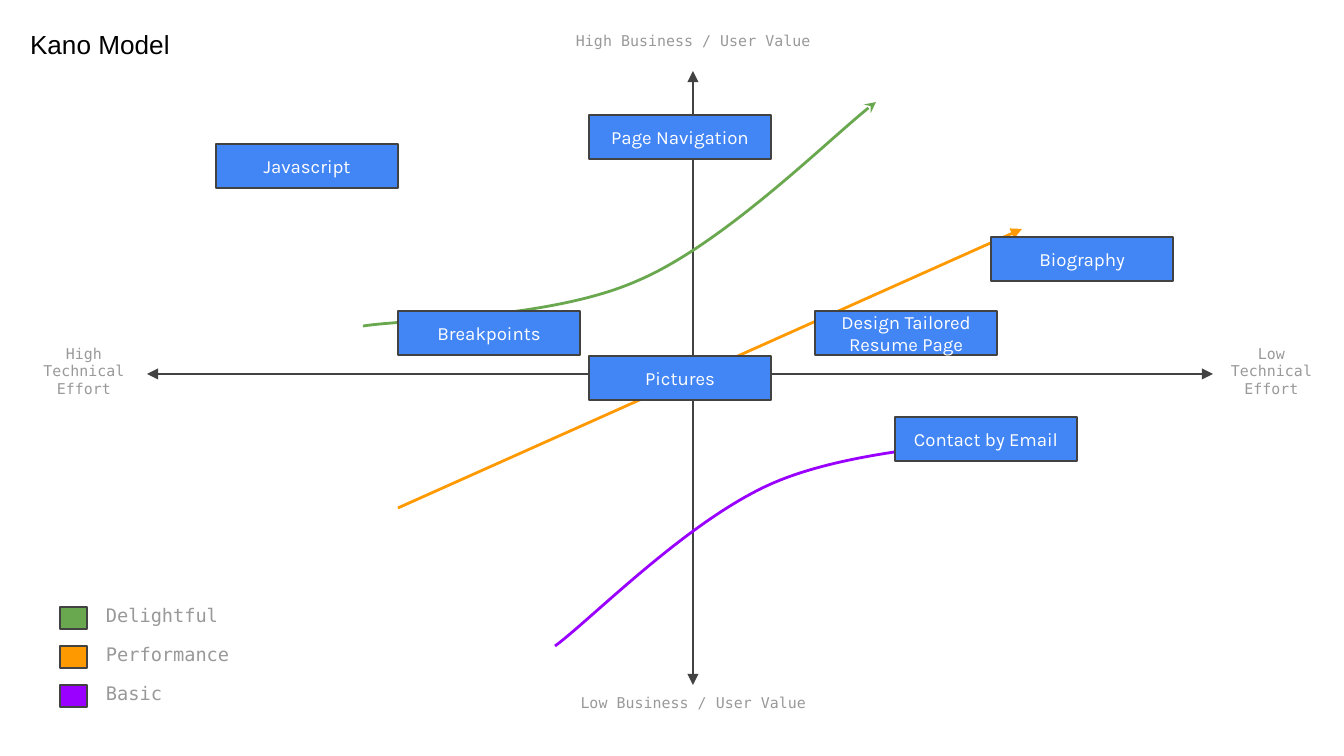
"""Build a Kano model slide: effort and value axes, trend curves and feature boxes."""
from lxml import etree
from pptx import Presentation
from pptx.dml.color import RGBColor
from pptx.enum.shapes import MSO_CONNECTOR, MSO_SHAPE
from pptx.enum.text import MSO_ANCHOR, PP_ALIGN
from pptx.oxml.ns import qn
from pptx.util import Emu, Pt

PX = 914400 / 134.4
RECT = MSO_SHAPE.RECTANGLE
STRAIGHT = MSO_CONNECTOR.STRAIGHT
TOP, MIDDLE = MSO_ANCHOR.TOP, MSO_ANCHOR.MIDDLE
LEFT, CENTER = PP_ALIGN.LEFT, PP_ALIGN.CENTER
MONO = "DejaVu Sans Mono"
COLORS = {
    "ink": "424242",
    "label": "999999",
    "title": "000000",
    "box": "4285F4",
    "box_text": "FFFFFF",
    "delightful": "6AA84F",
    "performance": "FF9900",
    "basic": "9900FF",
}
AXES = [((693, 71), (693, 685)), ((1213, 374), (147, 374))]
CURVES = [
    ("delightful", [(363, 326), (409, 319), (551, 319), (637, 281),
                    (722, 245), (836, 132), (876, 102)]),
    ("basic", [(555, 646), (593, 618), (692, 516), (778, 481),
               (866, 445), (1025, 441), (1075, 434)]),
]
LEGEND = ["delightful", "performance", "basic"]
AXIS_LABELS = [
    ("High Business / User Value", (562, 23, 263, 48), TOP),
    ("Low Business / User Value", (562, 685, 263, 48), TOP),
    ("High Technical Effort", (15, 347, 138, 48), MIDDLE),
    ("Low Technical Effort", (1214, 347, 115, 48), MIDDLE),
]
FEATURES = [
    ("Breakpoints", 398, 311),
    ("Biography", 991, 237),
    ("Page Navigation", 589, 115),
    ("Contact by Email", 895, 417),
    ("Javascript", 216, 144),
    ("Pictures", 589, 356),
    ("Design Tailored Resume Page", 815, 311),
]


def px(*values):
    """Turn pixel lengths into a list of EMU lengths."""
    return [Emu(round(v * PX)) for v in values]


def rgb(name):
    """Look up a named colour."""
    return RGBColor.from_string(COLORS[name])


def set_line(s, color, width, head=None, tail=None):
    """Set the stroke of a shape and its arrowheads."""
    s.line.color.rgb = rgb(color)
    s.line.width = Pt(width)
    ln = s.element.spPr.find(qn("a:ln"))
    for tag, kind in (("a:headEnd", head), ("a:tailEnd", tail)):
        if kind:
            etree.SubElement(ln, qn(tag), type=kind, w="med", len="med")


def add_arrow(slide, start, end, color, width, head=None):
    """Draw a straight line with a triangle at its end."""
    s = slide.shapes.add_connector(STRAIGHT, *px(*start, *end))
    set_line(s, color, width, head, "triangle")
    etree.SubElement(s.element.spPr, qn("a:effectLst"))


def add_curve(slide, points, color):
    """Draw a chain of cubic curves with a stealth arrowhead."""
    builder = slide.shapes.build_freeform(*points[0], scale=PX)
    builder.add_line_segments(points[1:], close=False)
    s = builder.convert_to_shape()
    steps = list(s.element.iter(qn("a:lnTo")))
    for i in range(0, len(steps), 3):
        cubic = etree.Element(qn("a:cubicBezTo"))
        steps[i].addprevious(cubic)
        for step in steps[i:i + 3]:
            cubic.append(step[0])
            step.getparent().remove(step)
    s.fill.background()
    set_line(s, color, 1.5, tail="stealth")
    s.shadow.inherit = False


def add_rect(slide, box, color):
    """Draw a filled rectangle with a thin dark outline."""
    s = slide.shapes.add_shape(RECT, *px(*box))
    s.fill.solid()
    s.fill.fore_color.rgb = rgb(color)
    set_line(s, "ink", 0.75)
    s.shadow.inherit = False
    return s


def set_text(s, text, size, font, color, align=LEFT, anchor=TOP):
    """Write one paragraph into a shape."""
    tf = s.text_frame
    tf.word_wrap = True
    tf.vertical_anchor = anchor
    tf.margin_left, tf.margin_top, tf.margin_right, tf.margin_bottom = px(13, 13, 13, 13)
    p = tf.paragraphs[0]
    p.text = text
    p.alignment = align
    p.font.size = Pt(size)
    p.font.name = font
    p.font.color.rgb = rgb(color)


def add_label(slide, box, *style):
    """Add a text box."""
    set_text(slide.shapes.add_textbox(*px(*box)), *style)


def add_legend(slide):
    """Stack the colour swatches with their names."""
    for i, name in enumerate(LEGEND):
        y = 607 + 39 * i
        add_rect(slide, (60, y, 27, 22), name)
        add_label(slide, (93, y - 14, 263, 48), name.title(), 10, MONO, "label")


def main():
    """Build and save the slide."""
    prs = Presentation()
    prs.slide_width, prs.slide_height = px(1344, 756)
    slide = prs.slides.add_slide(prs.slide_layouts[6])
    for start, end in AXES:
        add_arrow(slide, start, end, "ink", 0.75, "triangle")
    for color, points in CURVES:
        add_curve(slide, points, color)
    add_arrow(slide, (398, 508), (1022, 229), "performance", 1.5)
    add_legend(slide)
    for text, box, anchor in AXIS_LABELS:
        add_label(slide, box, text, 8, MONO, "label", CENTER, anchor)
    add_label(slide, (17, 15, 210, 42), "Kano Model", 14, "Arial", "title")
    for text, x, y in FEATURES:
        s = add_rect(slide, (x, y, 182, 44), "box")
        set_text(s, text, 10, "Karla", "box_text", CENTER, MIDDLE)
    prs.save("out.pptx")


if __name__ == "__main__":
    main()
